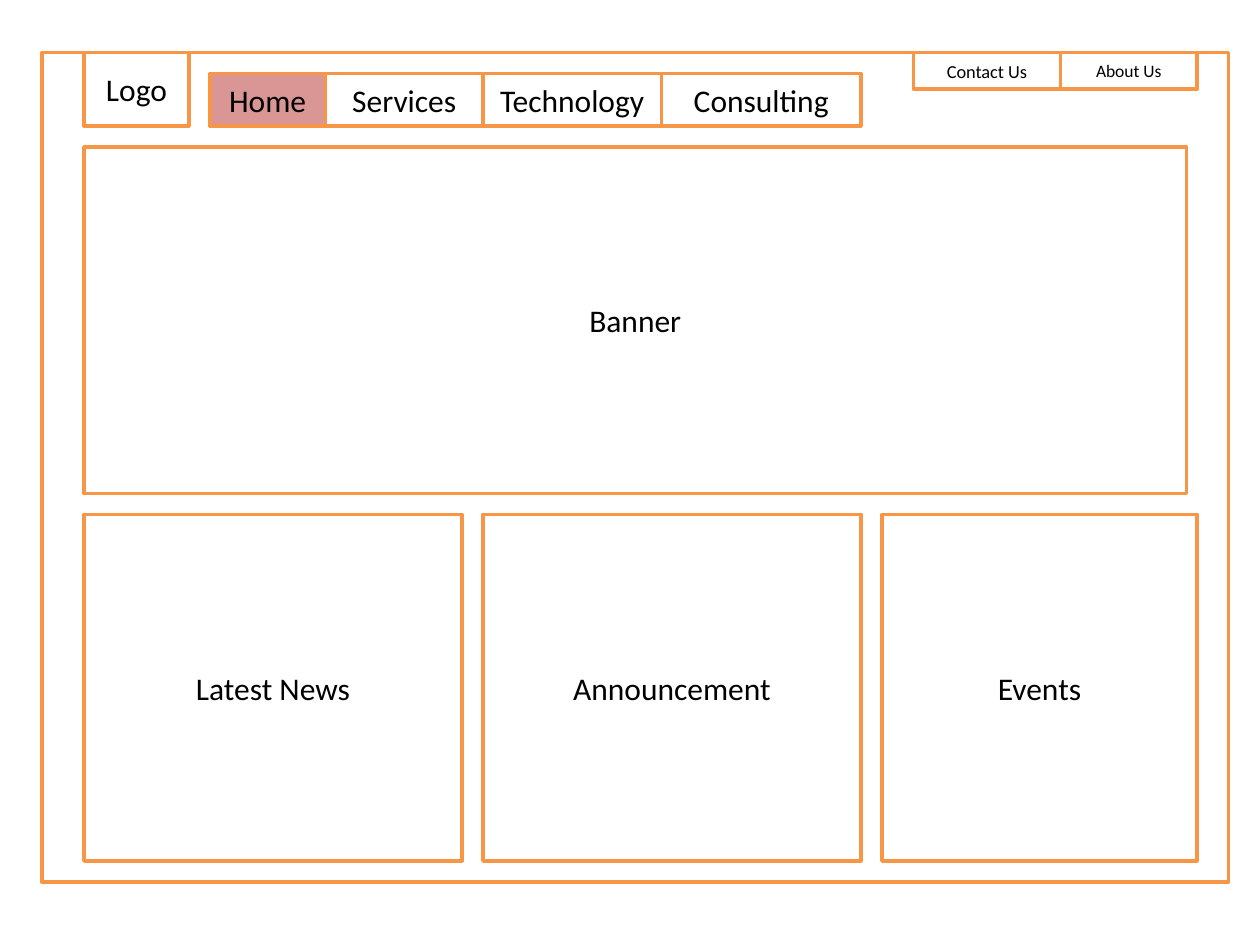
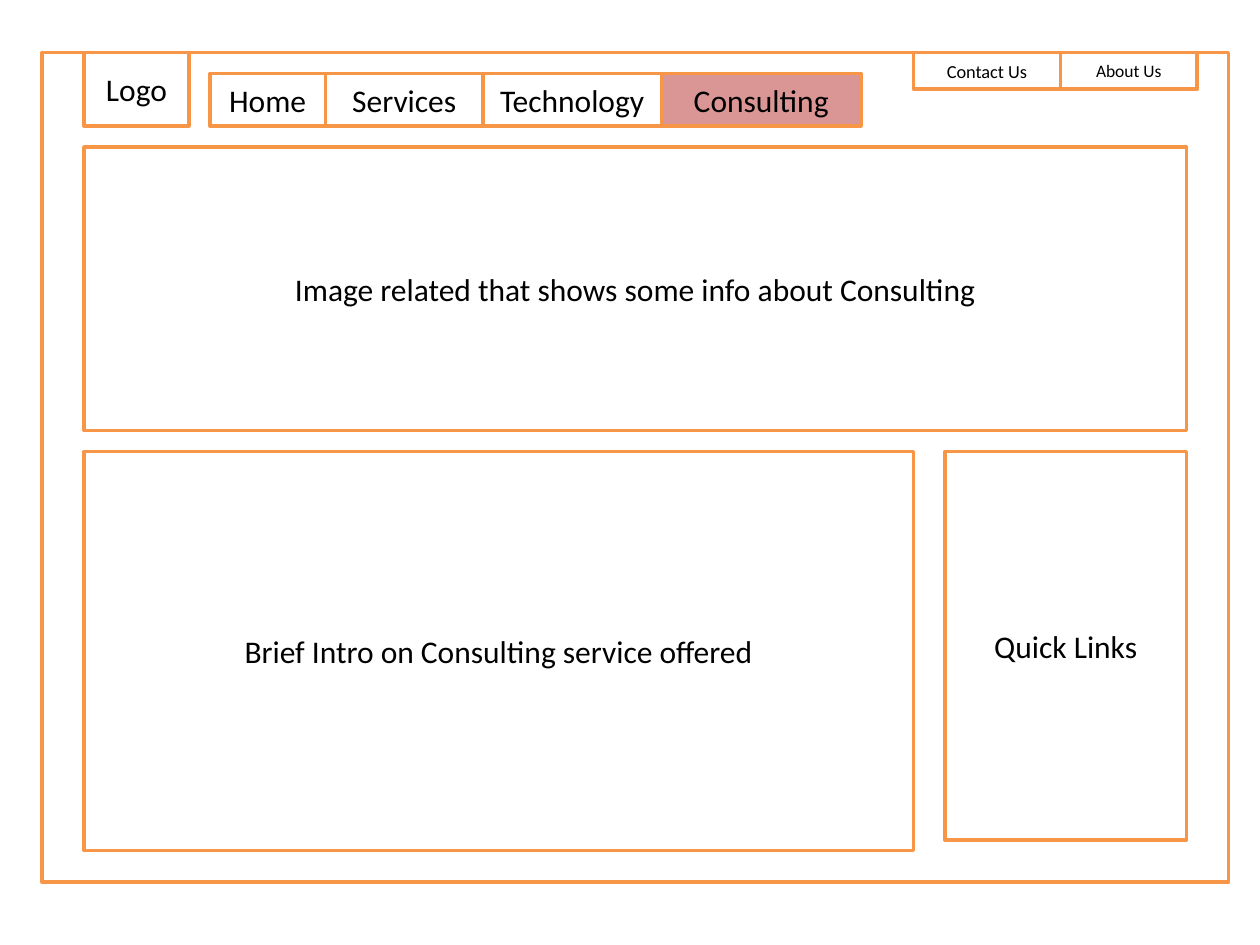
from pptx import Presentation
from pptx.dml.color import RGBColor
from pptx.enum.shapes import MSO_SHAPE
from pptx.enum.text import MSO_ANCHOR, PP_ALIGN
from pptx.util import Cm, Pt

RECT = MSO_SHAPE.RECTANGLE
MIDDLE = MSO_ANCHOR.MIDDLE
CENTER = PP_ALIGN.CENTER

COLORS = {"line": "F79646", "panel": "FFFFFF", "active": "D99694", "text": "000000"}
FONT = "Calibri"
GRID = 2.54 / 12
GAP = 2
FRAME = (4, 5, 113, 79)
MARGIN = 4
HEADER_H = 7
CONTENT_W = 105

NAV = [("Home", 11), ("Services", 15), ("Technology", 17), ("Consulting", 19)]
UTILITY = [("Contact Us", 14, 10.5), ("About Us", 13, 10)]


def rgb(name):
    return RGBColor.from_string(COLORS[name])


def add_panel(s, box, text="", size=18, fill="panel"):
    sp = s.shapes.add_shape(RECT, *[Cm(n * GRID) for n in box])
    sp.shadow.inherit = False
    sp.fill.solid()
    sp.fill.fore_color.rgb = rgb(fill)
    sp.line.color.rgb = rgb("line")
    sp.line.width = Pt(2)
    if text:
        tf = sp.text_frame
        tf.word_wrap = True
        tf.vertical_anchor = MIDDLE
        p = tf.paragraphs[0]
        p.alignment = CENTER
        r = p.add_run()
        r.text = text
        r.font.name = FONT
        r.font.size = Pt(size)
        r.font.color.rgb = rgb("text")


def add_nav(s, box, active):
    x, y, w, h = box
    for label, width in NAV:
        add_panel(s, (x, y, width, h), label, fill="active" if label == active else "panel")
        x += width


def add_utility_links(s, box):
    x, y, w, h = box
    for label, width, size in UTILITY:
        add_panel(s, (x, y, width, h), label, size)
        x += width


def add_header(s, box, active):
    x, y, w, h = box
    logo_w = 10
    add_panel(s, (x, y, logo_w, h), "Logo")
    nav_w = sum(width for label, width in NAV)
    add_nav(s, (x + logo_w + GAP, y + GAP, nav_w, h - GAP), active)
    links_w = sum(width for label, width, size in UTILITY)
    add_utility_links(s, (x + w - links_w, y, links_w, h / 2))


def add_home_content(s, box):
    x, y, w, h = box
    row_h = (h - GAP) / 2
    add_panel(s, (x, y, w, row_h), "Banner")
    for label, width in [("Latest News", 36), ("Announcement", 36), ("Events", 30)]:
        add_panel(s, (x, y + row_h + GAP, width, row_h), label)
        x += width + GAP


def add_consulting_content(s, box):
    x, y, w, h = box
    image_h, intro_w, links_w = 27, 79, 23
    add_panel(s, (x, y, w, image_h), "Image related that shows some info about Consulting")
    top = y + image_h + GAP
    intro_h = h - image_h - GAP - 1
    add_panel(s, (x, top, intro_w, intro_h), "Brief Intro on Consulting service offered")
    add_panel(s, (x + w - links_w, top, links_w, intro_h - 1), "Quick Links")


def add_page(prs, active, add_content):
    s = prs.slides.add_slide(prs.slide_layouts[6])
    x, y, w, h = FRAME
    add_panel(s, FRAME)
    add_header(s, (x + MARGIN, y, CONTENT_W + 1, HEADER_H), active)
    top = HEADER_H + GAP
    add_content(s, (x + MARGIN, y + top, CONTENT_W, h - top - GAP))


prs = Presentation()
prs.slide_width = Cm(25.4)
prs.slide_height = Cm(19.05)
add_page(prs, "Home", add_home_content)
add_page(prs, "Consulting", add_consulting_content)
prs.save("out.pptx")
